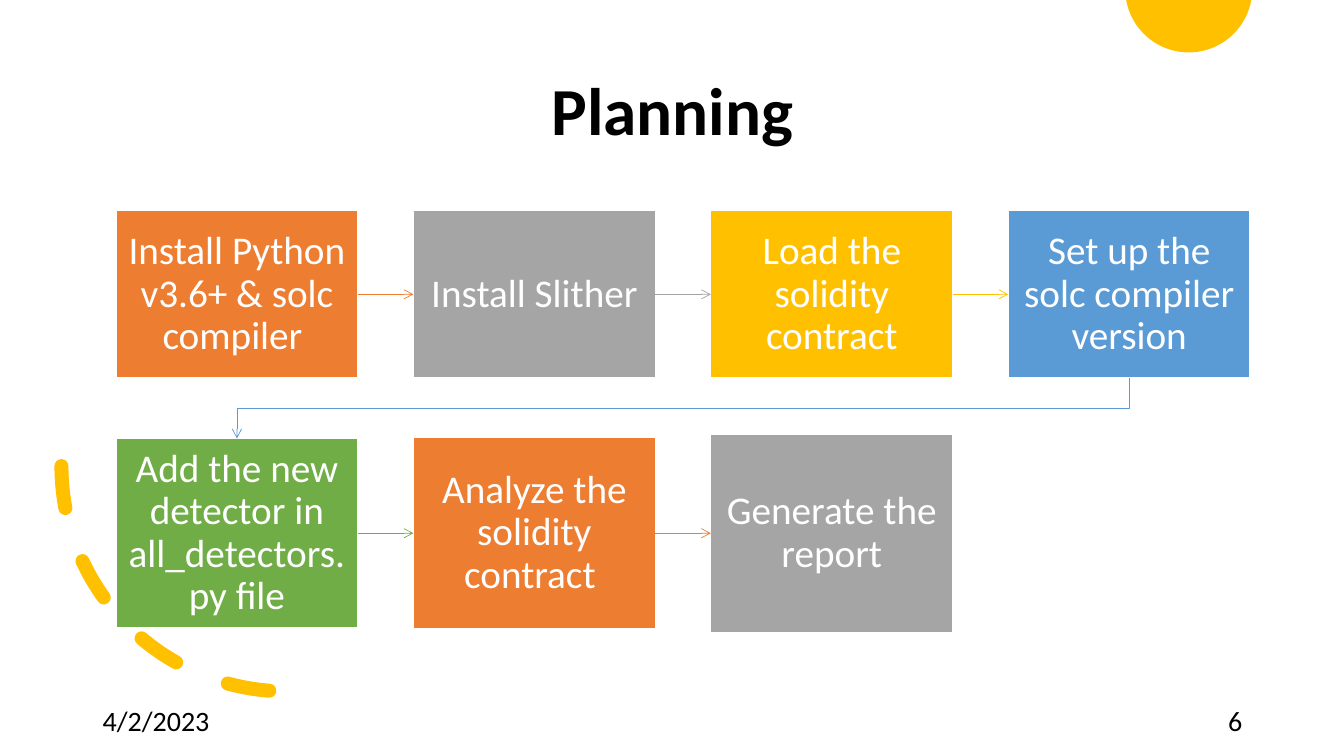
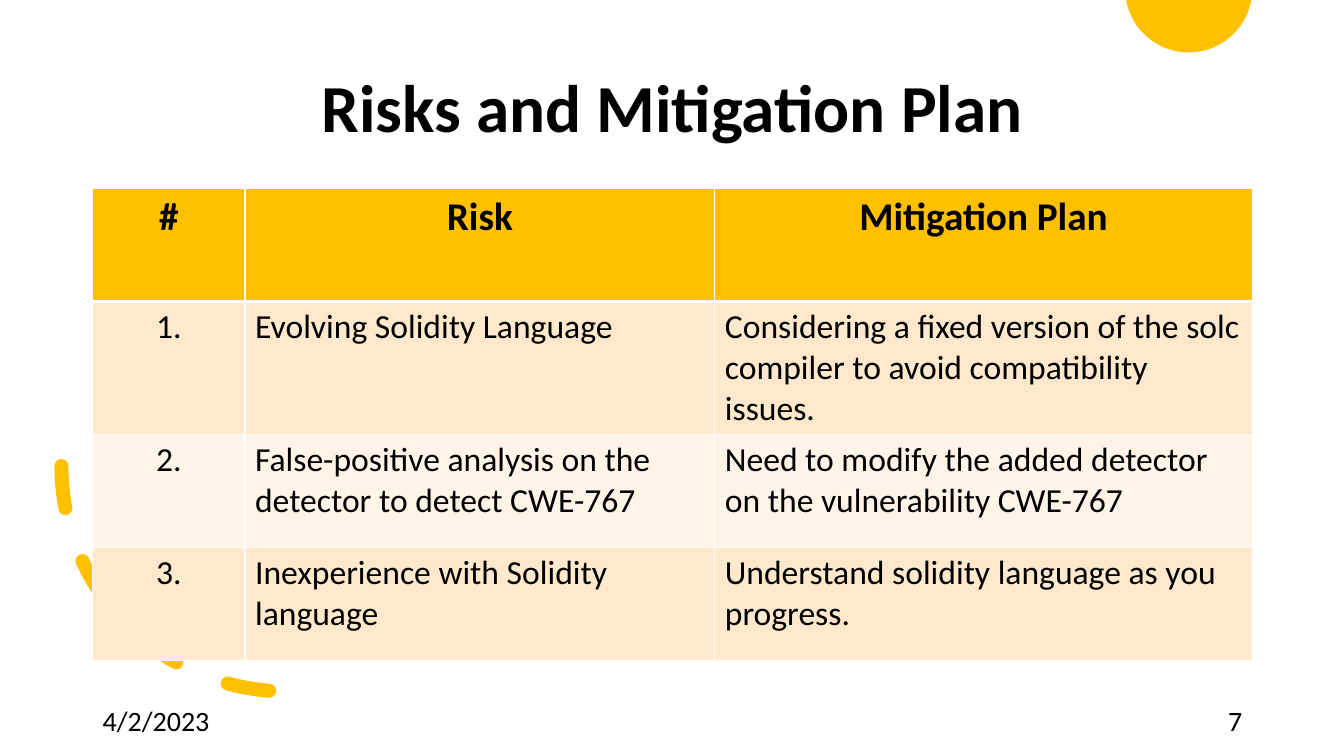
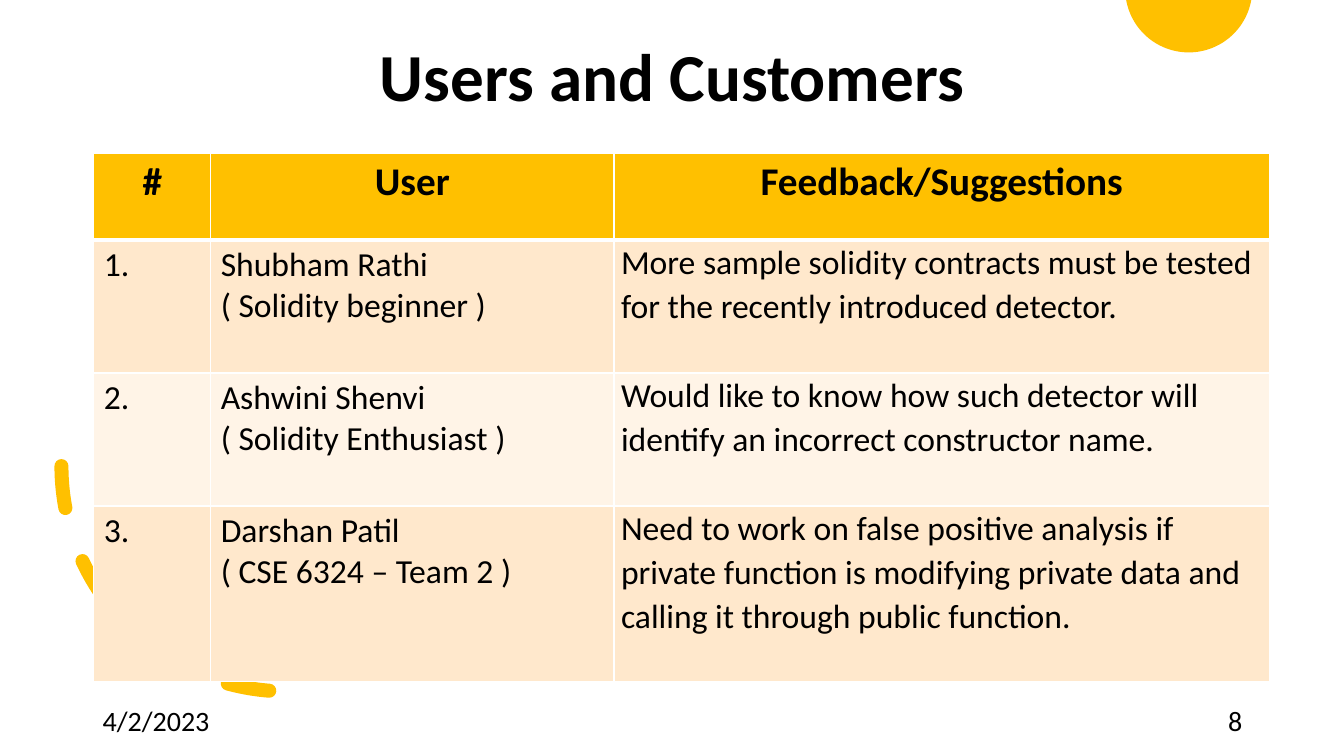
from math import asin, cos, pi, sin

from lxml.etree import SubElement
from pptx import Presentation
from pptx.dml.color import RGBColor
from pptx.enum.dml import MSO_LINE
from pptx.enum.shapes import MSO_CONNECTOR as Link, MSO_SHAPE as Preset
from pptx.enum.text import MSO_ANCHOR as Anchor, PP_ALIGN as Align
from pptx.oxml.ns import qn
from pptx.util import Inches, Pt

FONT = "Calibri"
BLACK = RGBColor(0x00, 0x00, 0x00)
WHITE = RGBColor(0xFF, 0xFF, 0xFF)
ORANGE = RGBColor(0xED, 0x7D, 0x31)
GRAY = RGBColor(0xA5, 0xA5, 0xA5)
GOLD = RGBColor(0xFF, 0xC0, 0x00)
BLUE = RGBColor(0x5B, 0x9B, 0xD5)
GREEN = RGBColor(0x70, 0xAD, 0x47)
BAND_DARK = RGBColor(0xFF, 0xE8, 0xCC)
BAND_LIGHT = RGBColor(0xFF, 0xF4, 0xE7)

STEP_COLORS = [ORANGE, GRAY, GOLD, BLUE, GREEN]
STEPS = [
    ("Install Python v3.6+ & solc compiler ", 1.66),
    ("Install Slither", 1.66),
    ("Load the solidity contract", 1.66),
    ("Set up the solc compiler version", 1.66),
    ("Add the new detector in all_detectors.py file", 1.88),
    ("Analyze the solidity contract ", 1.9),
    ("Generate the report", 1.97),
]
STEPS_PER_ROW = 4
STEP_LEFT, STEP_WIDTH, STEP_PITCH = 1.15, 2.4, 2.95
ROW_CENTERS = [2.92, 5.29]
TOP_SITE, LEFT_SITE, BOTTOM_SITE, RIGHT_SITE = range(4)

RISKS = [
    ["#", "Risk", "Mitigation Plan"],
    ["1.", "Evolving Solidity Language",
     "Considering a fixed version of the solc compiler to avoid compatibility issues."],
    ["2.", "False-positive analysis on the detector to detect CWE-767",
     "Need to modify the added detector on the vulnerability CWE-767"],
    ["3.", "Inexperience with Solidity language",
     "Understand solidity language as you progress."],
]
FEEDBACK = [
    ["#", "User", "Feedback/Suggestions"],
    ["1.", "Shubham Rathi\n( Solidity beginner )",
     "More sample solidity contracts must be tested for the recently introduced detector."],
    ["2.", "Ashwini Shenvi\n( Solidity Enthusiast )",
     "Would like to know how such detector will identify an incorrect constructor name."],
    ["3.", "Darshan Patil\n( CSE 6324 – Team 2 )",
     "Need to work on false positive analysis if private function is modifying "
     "private data and calling it through public function."],
]


class SlideBuilder:
    """Holds the deck style and draws elements on the current slide."""

    def __init__(self):
        self.deck = Presentation()
        self.deck.slide_width, self.deck.slide_height = Inches(13.33), Inches(7.5)
        self.slide = None

    def start(self, title, top, height, number):
        self.slide = self.deck.slides.add_slide(self.deck.slide_layouts[6])
        self.sun()
        self.dashed_arc()
        self.label(title, 0.92, top, 11.5, height, 48, Align.CENTER, True, 0.9)
        self.label("4/2/2023", 0.92, 6.95, 3, 0.4, 20)
        self.label(str(number), 9.42, 6.95, 3, 0.4, 20, Align.RIGHT)

    def sun(self):
        center_x, center_y, radius, parts = 11.79, -0.11, 0.63, 60
        first = asin(-center_y / radius)
        angles = [first + (pi - 2 * first) * i / parts for i in range(parts + 1)]
        points = [(Inches(center_x + radius * cos(a)),
                   Inches(max(0, center_y + radius * sin(a)))) for a in angles]
        outline = self.slide.shapes.build_freeform(*points[0])
        outline.add_line_segments(points[1:], close=True)
        sun = outline.convert_to_shape()
        self.paint(sun, GOLD)
        sun.line.fill.background()

    def dashed_arc(self):
        arc = self.slide.shapes.add_shape(
            Preset.ARC, Inches(0.61), Inches(2.39), Inches(4.47), Inches(4.47))
        arc.shadow.inherit = False
        arc.fill.background()
        arc.rotation = 90
        arc._element.spPr.find(qn("a:xfrm")).set("flipV", "1")
        arc.line.color.rgb, arc.line.width = GOLD, Pt(10)
        arc.line.dash_style = MSO_LINE.DASH
        arc.line._get_or_add_ln().set("cap", "rnd")

    def paint(self, shape, color):
        shape.shadow.inherit = False
        shape.fill.solid()
        shape.fill.fore_color.rgb = color

    def add_text(self, frame, text, size, color=BLACK, align=Align.LEFT, bold=False, spacing=1.0):
        for i, line in enumerate(text.split("\n")):
            para = frame.add_paragraph() if i else frame.paragraphs[0]
            para.alignment, para.line_spacing = align, spacing
            span = para.add_run()
            span.text = line
            span.font.name, span.font.size, span.font.bold = FONT, Pt(size), bold
            span.font.color.rgb = color

    def label(self, text, left, top, width, height, size, align=Align.LEFT, bold=False, spacing=1.0):
        box = self.slide.shapes.add_textbox(
            Inches(left), Inches(top), Inches(width), Inches(height))
        box.text_frame.word_wrap = True
        box.text_frame.vertical_anchor = Anchor.MIDDLE
        self.add_text(box.text_frame, text, size, BLACK, align, bold, spacing)

    def step(self, text, left, center, height, color):
        box = self.slide.shapes.add_shape(
            Preset.RECTANGLE, Inches(left), Inches(center - height / 2),
            Inches(STEP_WIDTH), Inches(height))
        self.paint(box, color)
        box.line.color.rgb, box.line.width = WHITE, Pt(1)
        frame = box.text_frame
        frame.word_wrap, frame.vertical_anchor = True, Anchor.MIDDLE
        frame.margin_left = frame.margin_right = Inches(0.12)
        frame.margin_top = frame.margin_bottom = Inches(0.12)
        self.add_text(frame, text, 28, WHITE, Align.CENTER, spacing=0.9)
        return box

    def arrow(self, source, target, color):
        wraps = target.left < source.left
        kind = Link.ELBOW if wraps else Link.STRAIGHT
        link = self.slide.shapes.add_connector(kind, 0, 0, 0, 0)
        link.begin_connect(source, BOTTOM_SITE if wraps else RIGHT_SITE)
        link.end_connect(target, TOP_SITE if wraps else LEFT_SITE)
        if wraps:
            self.turn(link)
        link.line.color.rgb, link.line.width = color, Pt(0.5)
        SubElement(link.line._get_or_add_ln(), qn("a:tailEnd"), type="arrow")
        SubElement(link._element.spPr, qn("a:effectLst"))

    def turn(self, link):
        middle_x = link.left + link.width // 2
        middle_y = link.top + link.height // 2
        link.width, link.height = link.height, link.width
        link.left = middle_x - link.width // 2
        link.top = middle_y - link.height // 2
        frame = link._element.spPr.find(qn("a:xfrm"))
        frame.set("flipH", "0")
        frame.set("rot", str(90 * 60000))

    def table(self, rows, left, top, widths, heights, center_numbers=False, roomy_last=False):
        grid = self.slide.shapes.add_table(
            len(rows), len(widths), Inches(left), Inches(top),
            Inches(sum(widths)), Inches(sum(heights))).table
        for column, width in zip(grid.columns, widths):
            column.width = Inches(width)
        for i, (row, height) in enumerate(zip(rows, heights)):
            grid.rows[i].height = Inches(height)
            header = i == 0
            fill = GOLD if header else BAND_DARK if i % 2 else BAND_LIGHT
            for j, text in enumerate(row):
                cell = grid.cell(i, j)
                cell.fill.solid()
                cell.fill.fore_color.rgb = fill
                centered = header or (center_numbers and j == 0)
                roomy = roomy_last and not header and j == len(row) - 1
                if roomy:
                    cell.margin_left = cell.margin_right = Inches(0.07)
                    cell.margin_top = cell.margin_bottom = 0
                self.add_text(cell.text_frame, text, 28 if header else 24, BLACK,
                              Align.CENTER if centered else Align.LEFT, header,
                              1.07 if roomy else 1.0)
                self.borders(cell, 3 if i == 1 else 1, 3 if header else 1)

    def borders(self, cell, top, bottom):
        properties = cell._tc.get_or_add_tcPr()
        sides = [("a:lnL", 1), ("a:lnR", 1), ("a:lnT", top), ("a:lnB", bottom)]
        for place, (side, width) in enumerate(sides):
            line = SubElement(properties, qn(side), w=str(Pt(width)))
            fill = SubElement(line, qn("a:solidFill"))
            SubElement(fill, qn("a:srgbClr"), val=str(WHITE))
            properties.insert(place, line)


def main():
    builder = SlideBuilder()

    builder.start("Planning", 0.4, 1.45, 6)
    colors = [STEP_COLORS[i % len(STEP_COLORS)] for i in range(len(STEPS))]
    boxes = []
    for i, (text, height) in enumerate(STEPS):
        row, column = divmod(i, STEPS_PER_ROW)
        boxes.append(builder.step(text, STEP_LEFT + column * STEP_PITCH,
                                  ROW_CENTERS[row], height, colors[i]))
    for source, target, color in zip(boxes, boxes[1:], colors):
        builder.arrow(source, target, color)

    builder.start("Risks and Mitigation Plan", 0.56, 1.07, 7)
    builder.table(RISKS, 0.92, 1.87, [1.51, 4.66, 5.33], [1.12, 1.32, 1.12, 1.12],
                  center_numbers=True)

    builder.start("Users and Customers", 0.2, 1.18, 8)
    builder.table(FEEDBACK, 0.93, 1.52, [1.16, 4, 6.5], [0.86, 1.32, 1.32, 1.74],
                  roomy_last=True)

    builder.deck.save("out.pptx")


if __name__ == "__main__":
    main()
